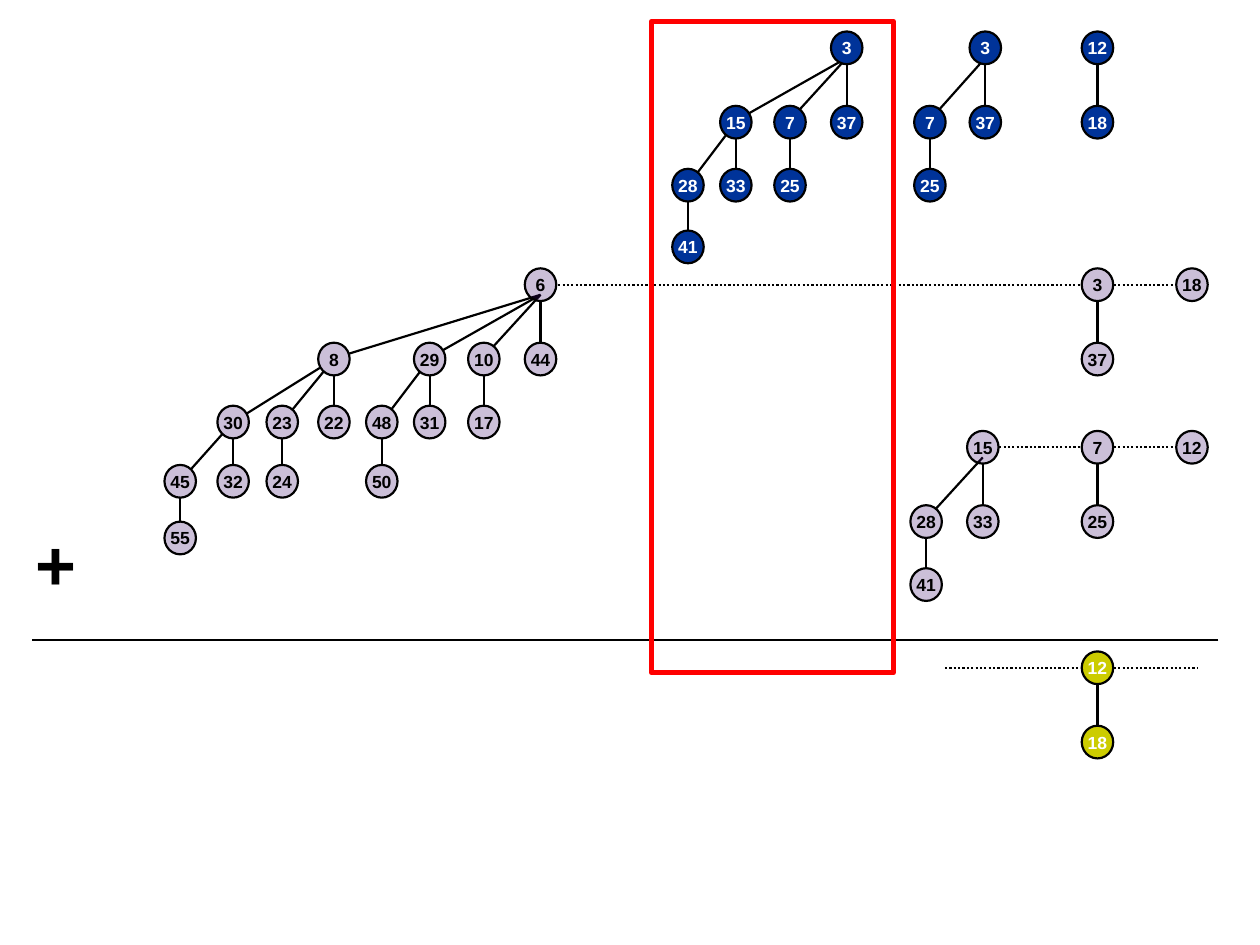
"""Build a slide that adds two binomial heaps tree by tree."""
from math import hypot

from lxml import etree
from pptx import Presentation
from pptx.dml.color import RGBColor
from pptx.enum.dml import MSO_LINE_DASH_STYLE as Dash
from pptx.enum.shapes import MSO_CONNECTOR, MSO_SHAPE
from pptx.enum.text import MSO_ANCHOR, MSO_AUTO_SIZE, PP_ALIGN
from pptx.oxml.ns import qn
from pptx.util import Inches, Pt

NODE_W, NODE_H = 0.25, 0.26
EDGE_GAP = 0.13
ROOT_DROP = 0.08

STYLES = {
    "carry": ("003399", "FFFFFF", None),
    "heap": ("330066", "000000", 25),
    "sum": ("CCCC00", "FFFFFF", None),
}
CARRY_ROWS = (0.38, 0.97, 1.47, 1.96)
FIRST_ROWS = (2.26, 2.85, 3.35, 3.82, 4.27)
SECOND_ROWS = (3.55, 4.14, 4.64)
SUM_ROWS = (5.3, 5.89)

TREES = [
    ("heap", FIRST_ROWS, ("6", 4.29, [
        ("8", 2.65, [
            ("30", 1.85, [("45", 1.43, [("55", 1.43, [])]), ("32", 1.85, [])]),
            ("23", 2.24, [("24", 2.24, [])]),
            ("22", 2.65, [])]),
        ("29", 3.41, [("48", 3.03, [("50", 3.03, [])]), ("31", 3.41, [])]),
        ("10", 3.84, [("17", 3.84, [])]),
        ("44", 4.29, [])])),
    ("heap", FIRST_ROWS, ("3", 8.71, [("37", 8.71, [])])),
    ("heap", FIRST_ROWS, ("18", 9.46, [])),
    ("heap", SECOND_ROWS, ("15", 7.8, [
        ("28", 7.35, [("41", 7.35, [])]),
        ("33", 7.8, [])])),
    ("heap", SECOND_ROWS, ("7", 8.71, [("25", 8.71, [])])),
    ("heap", SECOND_ROWS, ("12", 9.46, [])),
    ("carry", CARRY_ROWS, ("3", 6.72, [
        ("15", 5.84, [("28", 5.46, [("41", 5.46, [])]), ("33", 5.84, [])]),
        ("7", 6.27, [("25", 6.27, [])]),
        ("37", 6.72, [])])),
    ("carry", CARRY_ROWS, ("3", 7.82, [
        ("7", 7.38, [("25", 7.38, [])]),
        ("37", 7.82, [])])),
    ("carry", CARRY_ROWS, ("12", 8.71, [("18", 8.71, [])])),
    ("sum", SUM_ROWS, ("12", 8.71, [("18", 8.71, [])])),
]
ROOT_LINKS = [
    (4.43, 8.57, 2.26), (8.84, 9.32, 2.26),
    (7.93, 8.57, 3.55), (8.84, 9.32, 3.55),
    (7.5, 8.57, 5.3), (8.84, 9.5, 5.3),
]


def rgb(color):
    return RGBColor.from_string(color)


def add_line(s, x1, y1, x2, y2, dash=None):
    line = s.shapes.add_connector(
        MSO_CONNECTOR.STRAIGHT, Inches(x1), Inches(y1), Inches(x2), Inches(y2))
    line.line.color.rgb = rgb("000000")
    line.line.width = Pt(1.25)
    if dash:
        line.line.dash_style = dash
    etree.SubElement(line._element.spPr, qn("a:effectLst"))


def add_shape(s, kind, x, y, w, h, fill=None, line=None, width=1.25):
    sp = s.shapes.add_shape(kind, Inches(x), Inches(y), Inches(w), Inches(h))
    sp.shadow.inherit = False
    if fill:
        sp.fill.solid()
        sp.fill.fore_color.rgb = rgb(fill)
    else:
        sp.fill.background()
    if line:
        sp.line.color.rgb = rgb(line)
        sp.line.width = Pt(width)
    else:
        sp.line.fill.background()
    return sp


def set_text(tf, text, size, color):
    tf.text = text
    p = tf.paragraphs[0]
    p.alignment = PP_ALIGN.CENTER
    font = p.runs[0].font
    font.name, font.size, font.bold = "Arial", Pt(size), True
    font.color.rgb = rgb(color)


def add_node(s, label, x, y, style):
    fill, color, opacity = STYLES[style]
    sp = add_shape(s, MSO_SHAPE.OVAL, x - NODE_W / 2, y - NODE_H / 2,
                   NODE_W, NODE_H, fill, "000000")
    if opacity:
        clr = sp._element.spPr.find(qn("a:solidFill")).find(qn("a:srgbClr"))
        etree.SubElement(clr, qn("a:alpha"), val=str(opacity * 1000))
    tf = sp.text_frame
    tf.word_wrap = False
    tf.vertical_anchor = MSO_ANCHOR.MIDDLE
    set_text(tf, label, 10, color)


def add_edge(s, x, y, parent_x, parent_y, to_root):
    dx, dy = parent_x - x, parent_y - y
    scale = EDGE_GAP / hypot(dx, dy)
    if to_root and dx:
        end = parent_x, parent_y + ROOT_DROP
    else:
        end = parent_x - dx * scale, parent_y - dy * scale
    add_line(s, x + dx * scale, y + dy * scale, *end)


def add_tree(s, style, rows, node, level=0):
    label, x, children = node
    for child in children:
        add_edge(s, child[1], rows[level + 1], x, rows[level], level == 0)
        add_tree(s, style, rows, child, level + 1)
    add_node(s, label, x, rows[level], style)


def main():
    prs = Presentation()
    prs.slide_width, prs.slide_height = Inches(10), Inches(7.5)
    s = prs.slides.add_slide(prs.slide_layouts[6])
    add_shape(s, MSO_SHAPE.RECTANGLE, 0, 0, 10, 7.5, "FFFFFF")

    for x1, x2, y in ROOT_LINKS:
        add_line(s, x1, y, x2, y, Dash.ROUND_DOT)
    for style, rows, root in TREES:
        add_tree(s, style, rows, root)

    plus = s.shapes.add_textbox(Inches(0.17), Inches(4.08), Inches(0.54), Inches(0.77))
    plus.text_frame.word_wrap = True
    plus.text_frame.auto_size = MSO_AUTO_SIZE.SHAPE_TO_FIT_TEXT
    set_text(plus.text_frame, "+", 40, "000000")
    add_line(s, 9.67, 5.08, 0.25, 5.08)
    add_shape(s, MSO_SHAPE.RECTANGLE, 5.17, 0.17, 1.92, 5.17, line="FF0000", width=3)
    prs.save("out.pptx")


if __name__ == "__main__":
    main()
